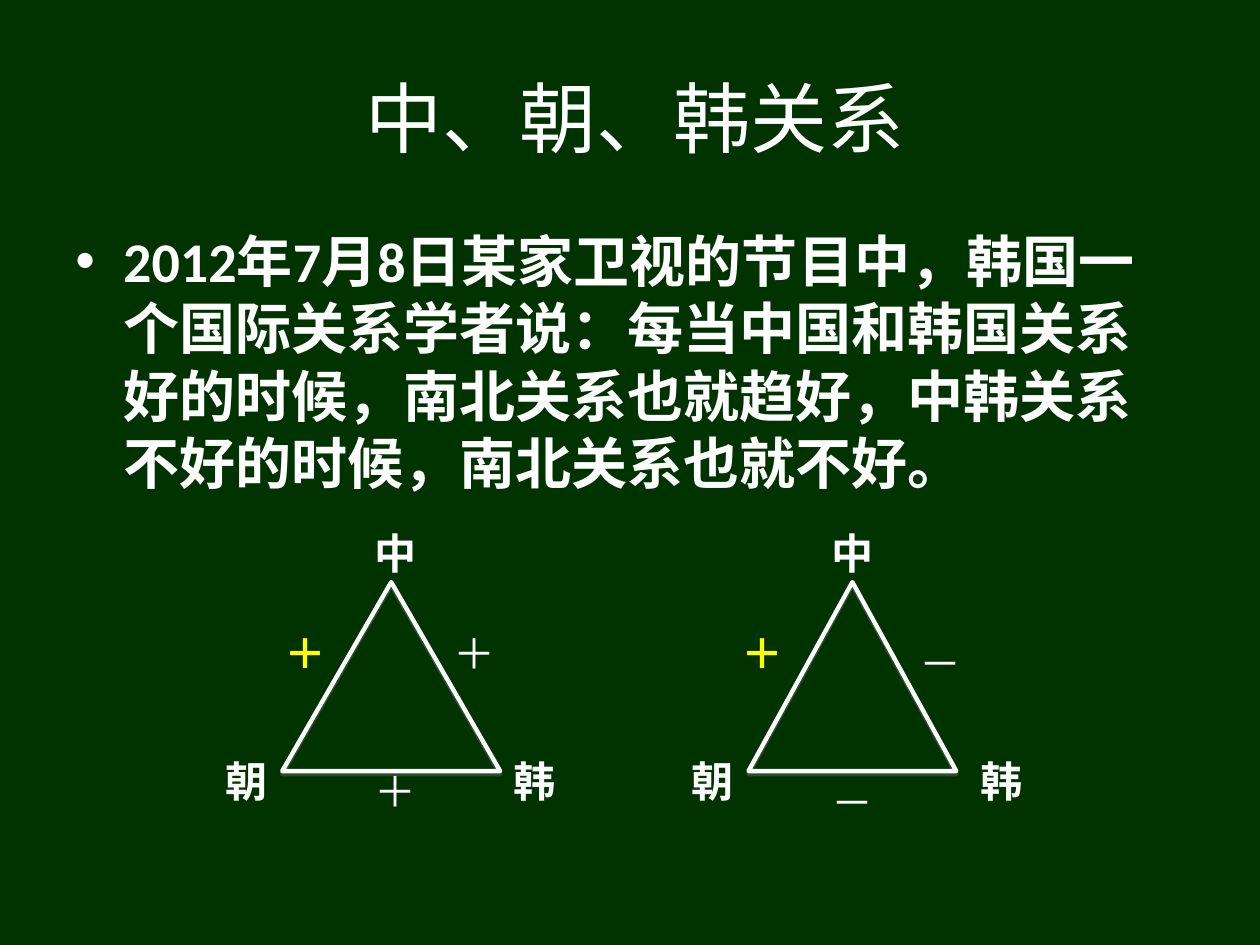
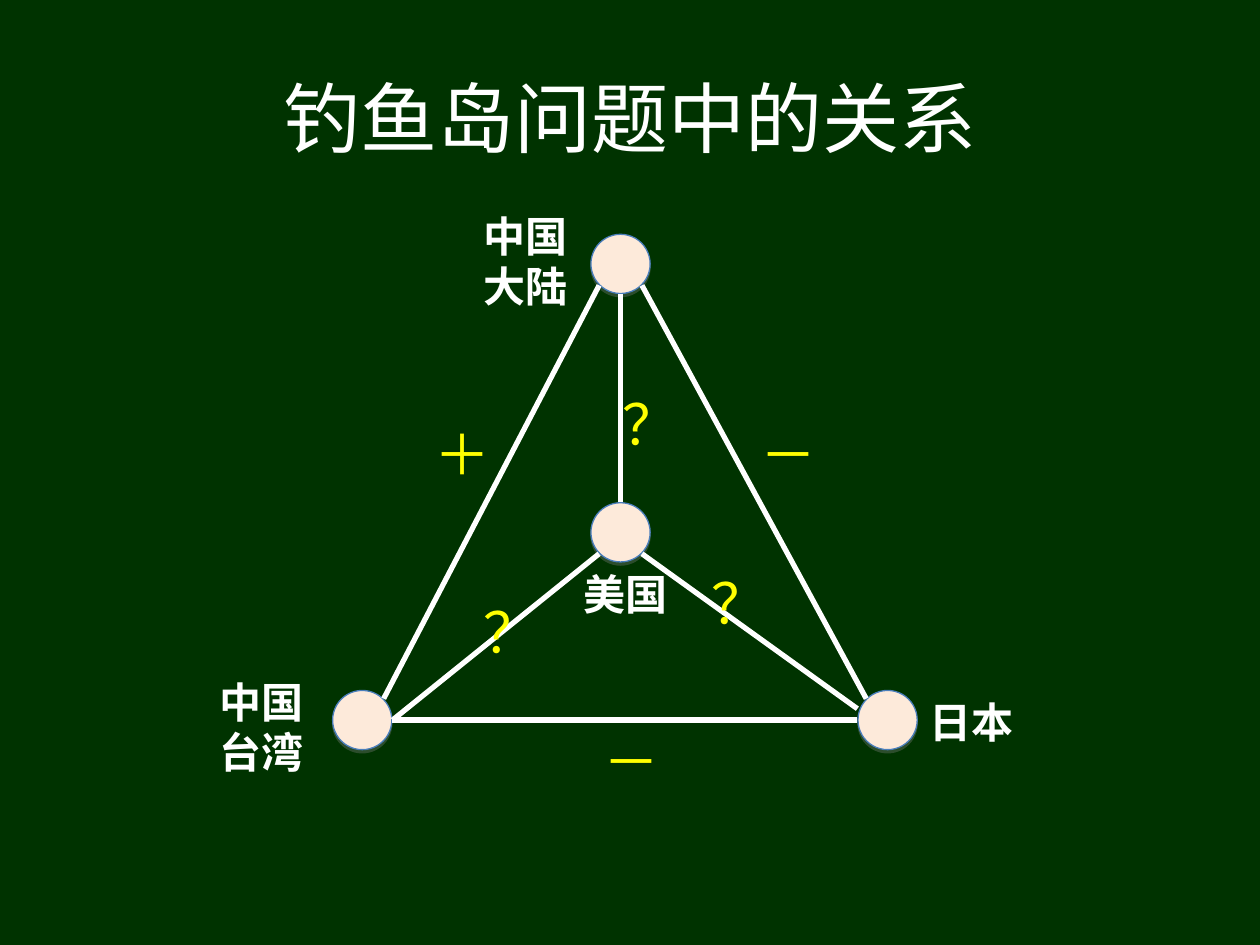
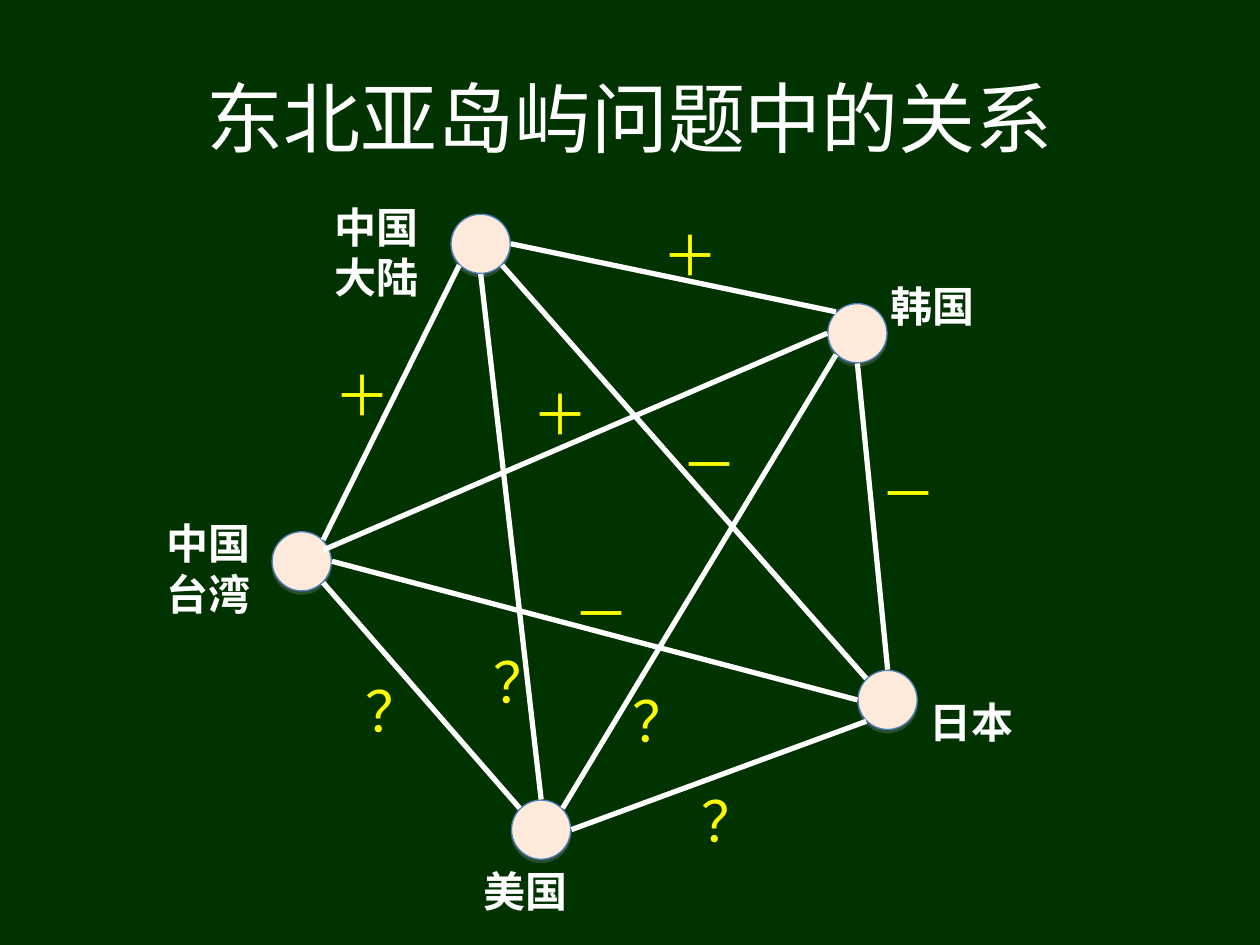
from lxml import etree
from pptx import Presentation
from pptx.dml.color import RGBColor
from pptx.enum.shapes import MSO_CONNECTOR, MSO_SHAPE
from pptx.enum.text import MSO_ANCHOR, MSO_AUTO_SIZE, PP_ALIGN
from pptx.oxml.ns import qn
from pptx.util import Inches, Pt

TRIANGLE, CIRCLE = MSO_SHAPE.ISOSCELES_TRIANGLE, MSO_SHAPE.OVAL
STRAIGHT = MSO_CONNECTOR.STRAIGHT
TOP, MIDDLE = MSO_ANCHOR.TOP, MSO_ANCHOR.MIDDLE
LEFT, CENTER = PP_ALIGN.LEFT, PP_ALIGN.CENTER
GROW, FIXED = MSO_AUTO_SIZE.SHAPE_TO_FIT_TEXT, MSO_AUTO_SIZE.NONE

CJK = "Noto Sans CJK SC"
WHITE, YELLOW = RGBColor(255, 255, 255), RGBColor(255, 255, 0)
THEME = {
    "ground": RGBColor(0x00, 0x33, 0x00),
    "node": RGBColor(0xFD, 0xEA, 0xDA),
    "rim": RGBColor(0x4A, 0x7E, 0xBB),
    "title": {"size": Pt(44), "name": CJK, "bold": False, "color": WHITE},
    "body": {"size": Pt(32), "name": "Calibri", "bold": True, "color": WHITE},
    "party": {"size": Pt(24), "name": "Arial", "bold": True, "color": WHITE},
    "small sign": {"size": Pt(24), "name": "Arial", "bold": False, "color": WHITE},
    "key sign": {"size": Pt(24), "name": "Arial", "bold": True, "color": YELLOW},
    "sign": {"size": Pt(32), "name": "Arial", "bold": False, "color": YELLOW},
}
THEME["cjk party"] = {**THEME["party"], "name": CJK}


def add_text(slide, box, text, style, align=LEFT, anchor=TOP, fit=GROW):
    frame = slide.shapes.add_textbox(*map(Inches, box)).text_frame
    layout = {"word_wrap": True, "auto_size": fit, "vertical_anchor": anchor}
    for key, value in layout.items():
        setattr(frame, key, value)
    paragraph = frame.paragraphs[0]
    paragraph.alignment = align
    run = paragraph.add_run()
    run.text = text
    for key, value in THEME[style].items():
        if key == "color":
            run.font.color.rgb = value
        else:
            setattr(run.font, key, value)
    east_asian = etree.Element(qn("a:ea"), typeface=CJK)
    run.font._element.find(qn("a:latin")).addnext(east_asian)
    return paragraph


def add_shadowed(slide, preset, box, line_color, line_width):
    figure = slide.shapes.add_shape(preset, *map(Inches, box))
    figure.shadow.inherit = False
    figure.line.color.rgb = line_color
    figure.line.width = Pt(line_width)
    effects = figure._element.spPr.find(qn("a:effectLst"))
    shadow = etree.SubElement(effects, qn("a:outerShdw"), blurRad="0",
                              dist=str(Pt(1.8)), dir="5400000", rotWithShape="0")
    gray = etree.SubElement(shadow, qn("a:srgbClr"), val="808080")
    etree.SubElement(gray, qn("a:alpha"), val="35000")
    return figure


prs = Presentation()
prs.slide_width, prs.slide_height = Inches(10), Inches(7.5)

# Backgrounds and titles
TITLES = [("中、朝、韩关系", 0.59, 8.91),
          ("钓鱼岛问题中的关系", 0.5, 9),
          ("东北亚岛屿问题中的关系", 0.5, 9)]
slides = []
for title, left, width in TITLES:
    slide = prs.slides.add_slide(prs.slide_layouts[6])
    slide.background.fill.solid()
    slide.background.fill.fore_color.rgb = THEME["ground"]
    add_text(slide, (left, 0.3, width, 1.25), title, "title", CENTER, MIDDLE, FIXED)
    slides.append(slide)
korea_slide, diaoyu_slide, islands_slide = slides

# Slide 1: the scholar's remark
remark = add_text(
    korea_slide, (0.5, 1.75, 9, 2.39),
    "2012年7月8日某家卫视的节目中，韩国一个国际关系学者说："
    "每当中国和韩国关系好的时候，南北关系也就趋好，"
    "中韩关系不好的时候，南北关系也就不好。", "body", fit=FIXED)
indent = remark._p.get_or_add_pPr()
indent.set("marL", str(Inches(0.38)))
indent.set("indent", str(-Inches(0.38)))
bullet_color = etree.SubElement(indent, qn("a:buClr"))
etree.SubElement(bullet_color, qn("a:srgbClr"), val=str(WHITE))
etree.SubElement(indent, qn("a:buFont"), typeface="Arial")
etree.SubElement(indent, qn("a:buChar"), char="•")

# Slide 1: good and bad triangles; a minus sits slightly lower than a plus
TRIANGLES = [
    # left, width, apex label, right label, left sign, right sign, sign, drop
    (2.24, 1.73, 2.87, 3.98, 2.16, 3.5, "＋", 0),
    (5.94, 1.65, 6.5, 7.68, 5.79, 7.2, "－", 0.08),
]
for left, width, apex, right, plus_left, sign_left, sign, drop in TRIANGLES:
    triangle = add_shadowed(korea_slide, TRIANGLE, (left, 4.62, width, 1.5), WHITE, 2.5)
    triangle.fill.background()
    for text, x, y, style in [
        ("中", apex, 4.14, "party"),
        ("朝", left - 0.55, 5.95, "party"),
        ("韩", right, 5.95, "party"),
        ("＋", plus_left, 4.93, "key sign"),
        (sign, sign_left, 4.93 + drop, "small sign"),
        (sign, apex, 6.03 + drop, "small sign"),
    ]:
        add_text(korea_slide, (x, y, 0.55, 0.5), text, style)

# Slides 2 and 3: networks of parties, joined at points on the circles
DIAMETER = 0.47
SITES = {
    "N": (0, -0.24), "S": (0, 0.24), "W": (-0.24, 0), "E": (0.24, 0),
    "NW": (-0.17, -0.17), "NE": (0.17, -0.17),
    "SW": (-0.17, 0.17), "SE": (0.17, 0.17),
    "WNW": (-0.24, -0.09), "ENE": (0.17, -0.09),
}
NETWORKS = [
    {
        "slide": diaoyu_slide,
        "label style": "party",
        # party: circle left, top; label left, top, width, height
        "parties": {
            "中国大陆": (4.69, 1.86, 3.74, 1.62, 0.94, 0.9),
            "美国": (4.69, 3.99, 4.53, 4.46, 0.95, 0.5),
            "日本": (6.81, 5.48, 7.28, 5.48, 0.94, 0.5),
            "中国台湾": (2.64, 5.48, 1.64, 5.32, 0.99, 0.9),
        },
        "ties": [
            ("中国大陆", "SW", "中国台湾", "NE"),
            ("美国", "SW", "中国台湾", "E"),
            ("中国大陆", "S", "美国", "N"),
            ("美国", "SE", "日本", "WNW"),
            ("日本", "W", "中国台湾", "E"),
            ("中国大陆", "SE", "日本", "NW"),
        ],
        "signs": [
            ("＋", 3.35, 3.28, 0.47), ("－", 4.69, 5.72, 0.63),
            ("－", 5.94, 3.28, 0.63), ("？", 3.74, 4.69, 0.47),
            ("？", 4.84, 3.04, 0.47), ("？", 5.55, 4.46, 0.47),
        ],
    },
    {
        "slide": islands_slide,
        "label style": "cjk party",
        "parties": {
            "中国大陆": (3.58, 1.7, 2.56, 1.55, 0.94, 0.9),
            "美国": (4.06, 6.35, 3.74, 6.82, 0.95, 0.5),
            "日本": (6.81, 5.32, 7.28, 5.48, 0.94, 0.5),
            "中国台湾": (2.16, 4.22, 1.22, 4.06, 0.99, 0.9),
            "韩国": (6.57, 2.41, 6.97, 2.18, 0.94, 0.5),
        },
        "ties": [
            ("中国大陆", "SW", "中国台湾", "NE"),
            ("美国", "NW", "中国台湾", "SE"),
            ("中国大陆", "S", "美国", "N"),
            ("美国", "E", "日本", "SW"),
            ("日本", "W", "中国台湾", "E"),
            ("中国大陆", "SE", "日本", "NW"),
            ("韩国", "NW", "中国大陆", "E"),
            ("日本", "N", "韩国", "S"),
            ("韩国", "W", "中国台湾", "ENE"),
            ("韩国", "SW", "美国", "NE"),
        ],
        "signs": [
            ("＋", 2.56, 2.81, 0.47), ("－", 4.45, 4.54, 0.55),
            ("－", 5.31, 3.36, 0.63), ("？", 3.82, 5.09, 0.47),
            ("？", 2.8, 5.32, 0.55), ("？", 5.47, 6.19, 0.94),
            ("－", 6.89, 3.59, 0.55), ("？", 4.92, 5.4, 0.87),
            ("＋", 5.16, 1.7, 0.47), ("＋", 4.13, 2.96, 0.47),
        ],
    },
]
for network in NETWORKS:
    slide, parties = network["slide"], network["parties"]

    # Circles
    for left, top, *_ in parties.values():
        node = add_shadowed(slide, CIRCLE, (left, top, DIAMETER, DIAMETER),
                            THEME["rim"], 0.75)
        node.fill.solid()
        node.fill.fore_color.rgb = THEME["node"]

    # Ties between parties
    for start, start_site, end, end_site in network["ties"]:
        ends = []
        for party, site in ((start, start_site), (end, end_site)):
            for corner, offset in zip(parties[party], SITES[site]):
                ends.append(Inches(corner + DIAMETER / 2 + offset))
        tie = slide.shapes.add_connector(STRAIGHT, *ends)
        tie.line.color.rgb = WHITE
        tie.line.width = Pt(3)
        etree.SubElement(tie._element.spPr, qn("a:effectLst"))

    # Signs and party names
    for sign, left, top, width in network["signs"]:
        add_text(slide, (left, top, width, 0.64), sign, "sign")
    for party, (_, _, *label_box) in parties.items():
        add_text(slide, label_box, party, network["label style"])

prs.save("out.pptx")
